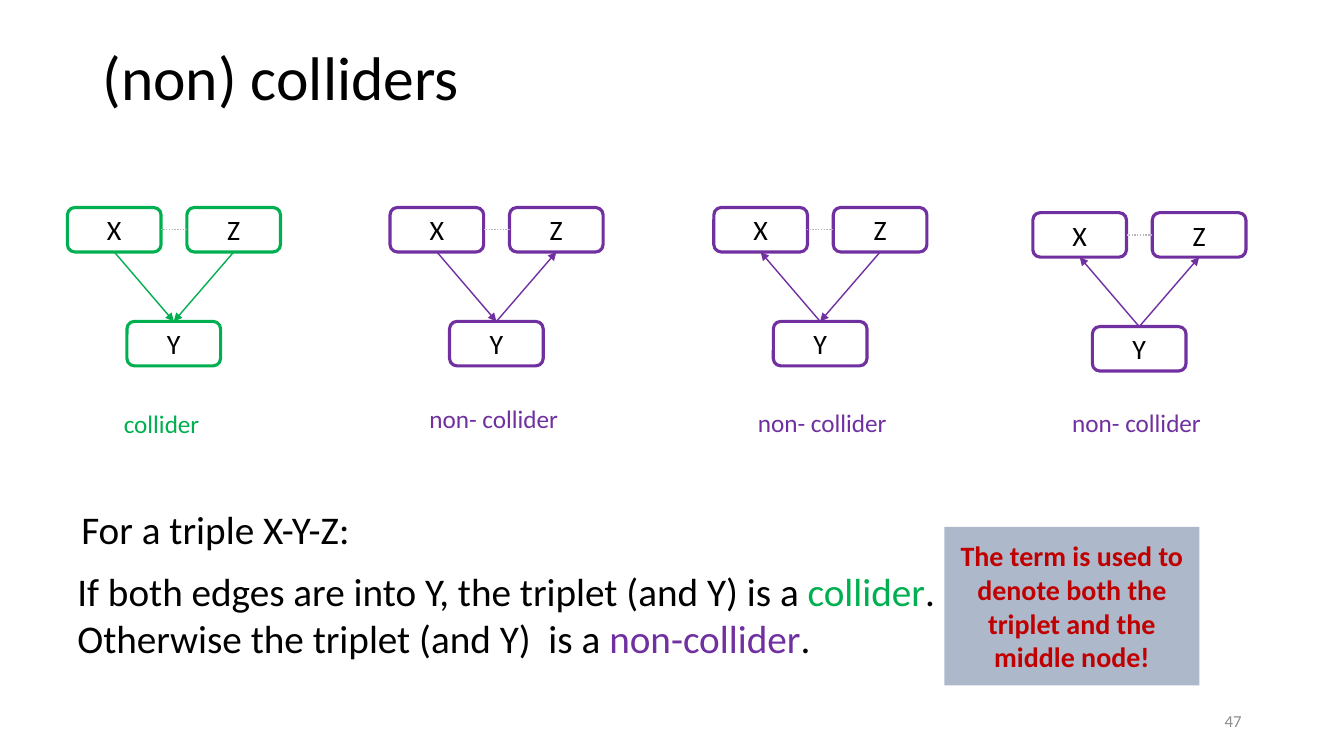
from dataclasses import dataclass
from typing import Any

from lxml import etree
from pptx import Presentation
from pptx.dml.color import RGBColor
from pptx.enum import dml, shapes, text
from pptx.oxml import ns
from pptx.util import Cm, Pt

BLACK = RGBColor(0x00, 0x00, 0x00)
WHITE = RGBColor(0xFF, 0xFF, 0xFF)
GREEN = RGBColor(0x00, 0xB0, 0x50)
PURPLE = RGBColor(0x70, 0x30, 0xA0)
RED = RGBColor(0xC0, 0x00, 0x00)
PANEL = RGBColor(0xAD, 0xB9, 0xCA)
DOTTED = RGBColor(0xB6, 0xB7, 0xBA)
GREY = RGBColor(0x8C, 0x8C, 0x8C)
FONT = "Calibri"
LEFT, CENTER, RIGHT = text.PP_ALIGN.LEFT, text.PP_ALIGN.CENTER, text.PP_ALIGN.RIGHT
TOP, MIDDLE = text.MSO_ANCHOR.TOP, text.MSO_ANCHOR.MIDDLE
SITE_TOP, SITE_LEFT, SITE_BOTTOM, SITE_RIGHT = range(4)

# Node size and positions within a triple, in cm
NODE_W, NODE_H = 2.36, 1.12
OFFSETS = {"X": (0, 0), "Z": (3.01, 0), "Y": (1.5, 2.87)}


@dataclass
class Triple:
    left: float
    top: float
    color: RGBColor
    edges: tuple[str, str]  # each edge as source and target letters
    label: str
    label_left: float
    label_top: float
    label_width: float = 3.86


TRIPLES = [
    Triple(1.7, 5.23, GREEN, ("ZY", "XY"), "collider", 2.87, 10.16, 3.02),
    Triple(9.83, 5.23, PURPLE, ("YZ", "XY"), "non- collider", 10.57, 10.03),
    Triple(17.99, 5.23, PURPLE, ("ZY", "YX"), "non- collider", 18.85, 10.13),
    Triple(26.03, 5.36, PURPLE, ("YX", "YZ"), "non- collider", 26.77, 10.13),
]


def write(sp: Any, *lines: Any, size: float, color: RGBColor = BLACK, bold: bool = False,
          align: Any = LEFT, anchor: Any = TOP, spacing: float = 1.0) -> None:
    """Fill a shape; a line is a string or a list of (text, color) runs."""
    tf = sp.text_frame
    tf.word_wrap = True
    tf.auto_size = text.MSO_AUTO_SIZE.NONE
    tf.vertical_anchor = anchor
    for i, line in enumerate(lines):
        p = tf.paragraphs[0] if i == 0 else tf.add_paragraph()
        p.alignment, p.line_spacing = align, spacing
        for words, run_color in [(line, color)] if isinstance(line, str) else line:
            r = p.add_run()
            r.text = words
            r.font.name, r.font.size, r.font.bold = FONT, Pt(size), bold
            r.font.color.rgb = run_color


def add_text(left: float, top: float, width: float, height: float, *lines: Any,
             **fmt: Any) -> None:
    box = s.shapes.add_textbox(Cm(left), Cm(top), Cm(width), Cm(height))
    write(box, *lines, **fmt)


def add_box(parent: Any, kind: Any, left: float, top: float, width: float, height: float,
            fill: RGBColor, line: RGBColor | None = None) -> Any:
    sp = parent.add_shape(kind, Cm(left), Cm(top), Cm(width), Cm(height))
    sp.shadow.inherit = False
    sp.fill.solid()
    sp.fill.fore_color.rgb = fill
    if line is None:
        sp.line.fill.background()
    else:
        sp.line.color.rgb, sp.line.width = line, Pt(2.25)
    return sp


def connect(parent: Any, start: Any, start_site: int, end: Any, end_site: int,
            color: RGBColor, arrow: bool = True) -> None:
    cx = parent.add_connector(shapes.MSO_CONNECTOR.STRAIGHT, 0, 0, 0, 0)
    cx.begin_connect(start, start_site)
    cx.end_connect(end, end_site)
    cx.line.color.rgb, cx.line.width = color, Pt(1)
    if arrow:
        ln = cx.line._get_or_add_ln()
        etree.SubElement(ln, ns.qn("a:tailEnd"), type="triangle")
    else:
        cx.line.dash_style = dml.MSO_LINE.ROUND_DOT
    etree.SubElement(cx._element.spPr, ns.qn("a:effectLst"))


def add_triple(t: Triple) -> None:
    group = s.shapes.add_group_shape().shapes
    nodes = {}
    for name, (dx, dy) in OFFSETS.items():
        nodes[name] = add_box(group, shapes.MSO_SHAPE.ROUNDED_RECTANGLE, t.left + dx,
                              t.top + dy, NODE_W, NODE_H, WHITE, t.color)
        write(nodes[name], name, size=20, align=CENTER, anchor=MIDDLE)
    sites = {"X": SITE_BOTTOM, "Z": SITE_BOTTOM, "Y": SITE_TOP}
    for a, b in t.edges:
        connect(group, nodes[a], sites[a], nodes[b], sites[b], t.color)
    connect(s.shapes, nodes["Z"], SITE_LEFT, nodes["X"], SITE_RIGHT, DOTTED, arrow=False)
    add_text(t.label_left, t.label_top, t.label_width, 1.02, t.label, size=18, color=t.color)


prs = Presentation()
prs.slide_width, prs.slide_height = Cm(33.87), Cm(19.05)
s = prs.slides.add_slide(prs.slide_layouts[5])

# Title and slide number
title = s.shapes.title
title.left, title.top, title.width, title.height = Cm(2.33), Cm(1.02), Cm(29.21), Cm(2.01)
write(title, "(non) colliders", size=44, anchor=MIDDLE, spacing=0.9)
add_text(23.92, 17.65, 7.62, 1.02, "47", size=12, color=GREY, align=RIGHT, anchor=MIDDLE)

# Definition
add_text(1.8, 12.62, 30.68, 1.45, "For a triple X-Y-Z:", size=28)
add_text(1.7, 14.17, 30.68, 2.64,
         [("If both edges are into Y, the triplet (and Y) is a ", BLACK),
          ("collider", GREEN), (".", BLACK)],
         [("Otherwise the triplet (and Y)  is a ", BLACK),
          ("non-collider", PURPLE), (".", BLACK)], size=28)

# Remark
remark = add_box(s.shapes, shapes.MSO_SHAPE.RECTANGLE, 23.8, 13.28, 6.43, 3.99, PANEL)
write(remark, "The term is used to denote both the triplet and the middle node!",
      size=20, color=RED, bold=True, align=CENTER, anchor=MIDDLE)

# Four triples with their labels
for triple in TRIPLES:
    add_triple(triple)

prs.save("out.pptx")
